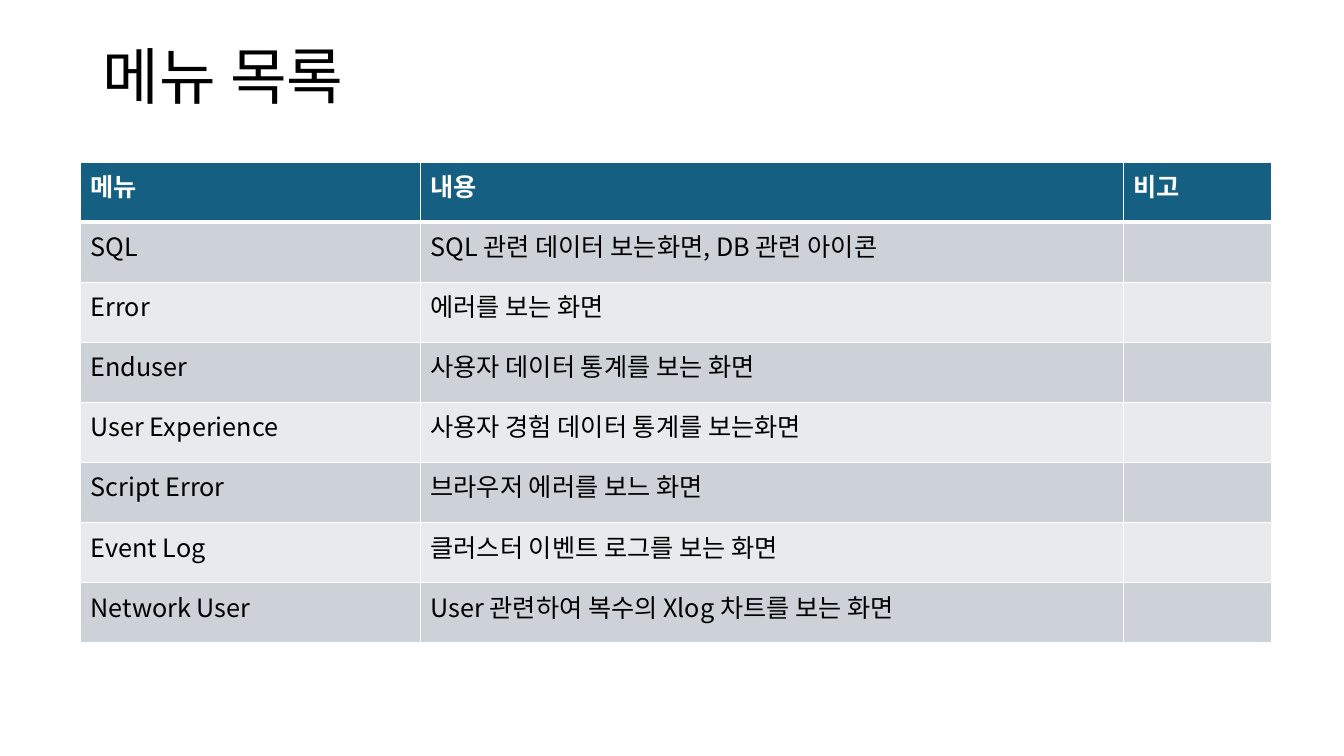
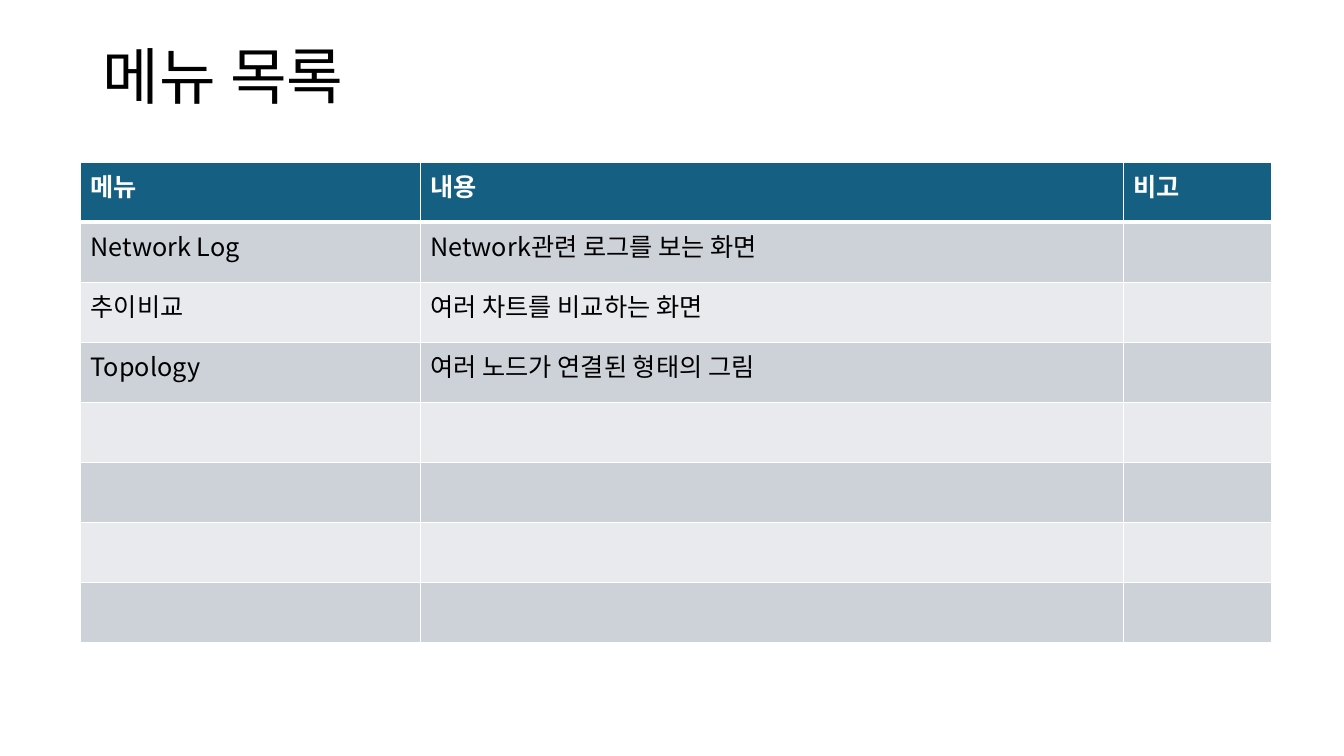
"""Build the two menu list slides."""
from lxml.etree import SubElement
from pptx import Presentation
from pptx.dml.color import RGBColor
from pptx.enum.text import MSO_ANCHOR, MSO_AUTO_SIZE, PP_ALIGN
from pptx.oxml import parse_xml
from pptx.oxml.ns import nsdecls, qn
from pptx.util import Inches, Pt

FONT = "Noto Sans CJK KR"
BLACK, WHITE = "000000", "FFFFFF"
HEADER_FILL = "156082"
BAND_FILLS = ("CCD2D8", "E8EAED")
TITLE = "메뉴 목록"
HEADINGS = ("메뉴", "내용", "비고")
COLUMN_WIDTHS = (3.37, 6.97, 1.47)
ROW_COUNT = 8
TABLE_HEIGHT = 4.77

MENU_PAGES = (
    (
        ("SQL", "SQL 관련 데이터 보는화면, DB 관련 아이콘"),
        ("Error", "에러를 보는 화면"),
        ("Enduser", "사용자 데이터 통계를 보는 화면"),
        ("User Experience", "사용자 경험 데이터 통계를 보는화면"),
        ("Script Error", "브라우저 에러를 보느 화면"),
        ("Event Log", "클러스터 이벤트 로그를 보는 화면"),
        ("Network User", "User 관련하여 복수의 Xlog 차트를 보는 화면"),
    ),
    (
        ("Network Log", "Network관련 로그를 보는 화면"),
        ("추이비교", "여러 차트를 비교하는 화면"),
        ("Topology", "여러 노드가 연결된 형태의 그림"),
    ),
)


def rgb(hex_colour):
    """Turn a hex string into a colour."""
    return RGBColor.from_string(hex_colour)


def add_run(paragraph, text, size, colour, bold=False):
    """Add a run in the deck font for Latin and Korean letters."""
    run = paragraph.add_run()
    run.text = text
    run.font.size = Pt(size)
    run.font.bold = bold
    run.font.color.rgb = rgb(colour)
    run.font.name = FONT
    SubElement(run.font._element, qn("a:ea"), typeface=FONT)


def set_borders(cell, top=1, bottom=1):
    """Draw white borders around a cell, widths in points."""
    properties = cell._tc.get_or_add_tcPr()
    sides = (("L", 1), ("R", 1), ("T", top), ("B", bottom))
    for position, (side, width) in enumerate(sides):
        border = parse_xml(
            f'<a:ln{side} {nsdecls("a")} w="{Pt(width)}"><a:solidFill>'
            f'<a:srgbClr val="{WHITE}"/></a:solidFill></a:ln{side}>'
        )
        properties.insert(position, border)


def add_title(slide):
    """Place and fill the slide title."""
    title = slide.shapes.title
    title.left, title.top = Inches(0.92), Inches(0.4)
    title.width, title.height = Inches(11.5), Inches(0.78)
    frame = title.text_frame
    frame.auto_size = MSO_AUTO_SIZE.NONE
    frame.vertical_anchor = MSO_ANCHOR.MIDDLE
    heading = frame.paragraphs[0]
    heading.alignment = PP_ALIGN.LEFT
    heading.line_spacing = 0.9
    add_run(heading, TITLE, 44, BLACK)


def fill_row(cells, texts, fill, colour, bold=False, top=1, bottom=1):
    """Fill and border a table row, then write the texts it has."""
    for cell in cells:
        cell.fill.solid()
        cell.fill.fore_color.rgb = rgb(fill)
        set_borders(cell, top, bottom)
    for cell, text in zip(cells, texts):
        add_run(cell.text_frame.paragraphs[0], text, 18, colour, bold)


def add_menu_table(slide, menus):
    """Add the menu table, leaving unused rows empty."""
    table = slide.shapes.add_table(
        ROW_COUNT, len(HEADINGS), Inches(0.8), Inches(1.61),
        Inches(sum(COLUMN_WIDTHS)), Inches(TABLE_HEIGHT),
    ).table
    for column, width in zip(table.columns, COLUMN_WIDTHS):
        column.width = Inches(width)
    header, *body = (list(row.cells) for row in table.rows)
    fill_row(header, HEADINGS, HEADER_FILL, WHITE, bold=True, bottom=3)
    for index, cells in enumerate(body):
        texts = menus[index] if index < len(menus) else ()
        top = 3 if index == 0 else 1
        fill_row(cells, texts, BAND_FILLS[index % 2], BLACK, top=top)


def main():
    """Build and save the deck."""
    deck = Presentation()
    deck.slide_width, deck.slide_height = Inches(13.33), Inches(7.5)
    for menus in MENU_PAGES:
        slide = deck.slides.add_slide(deck.slide_layouts.get_by_name("Title Only"))
        add_title(slide)
        add_menu_table(slide, menus)
    deck.save("out.pptx")


if __name__ == "__main__":
    main()
